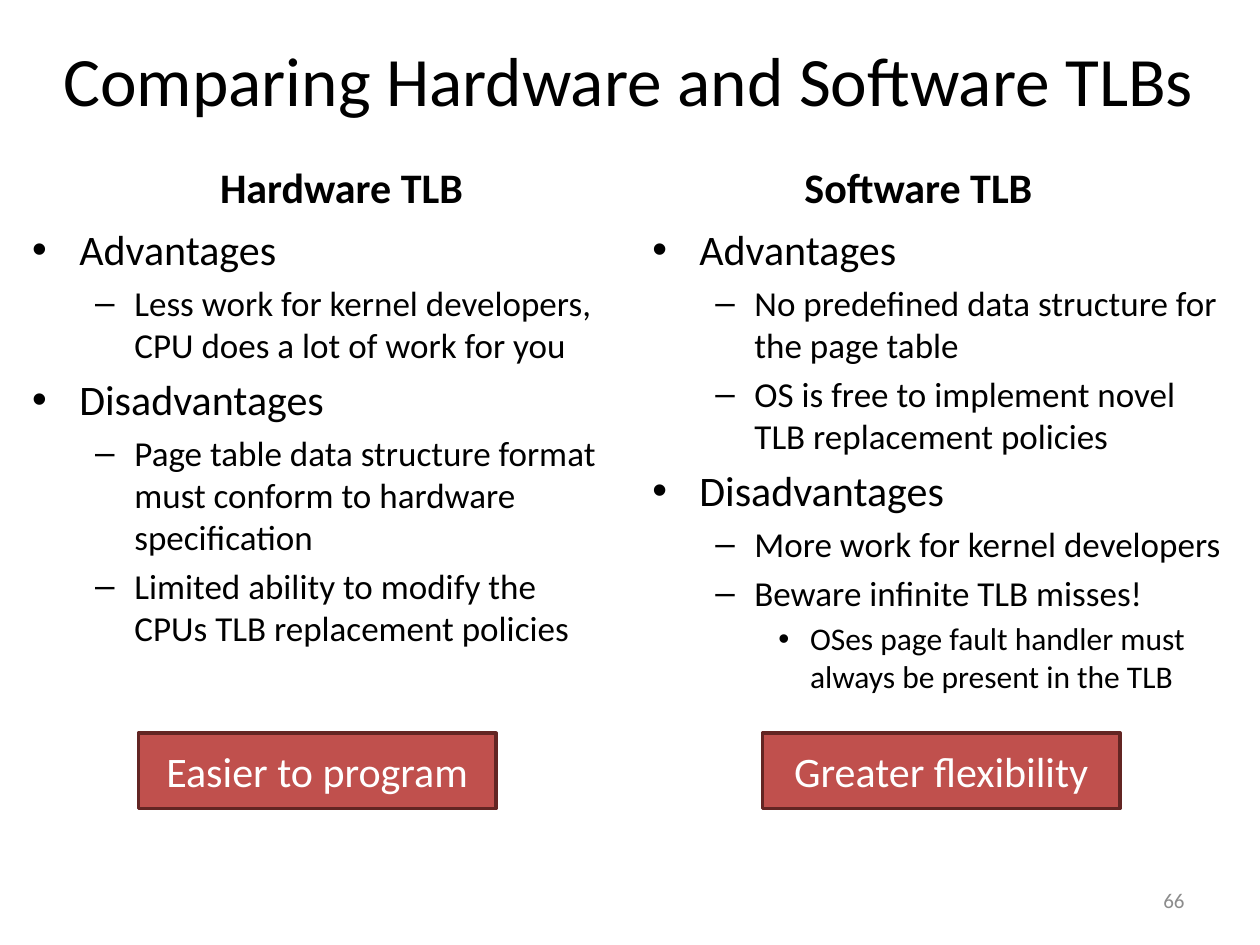
from lxml import etree
from pptx import Presentation
from pptx.dml.color import RGBColor
from pptx.enum import shapes, text
from pptx.oxml.ns import qn
from pptx.util import Cm, Pt

# Content: each column has a heading, (level, text) points and a verdict
TITLE = "Comparing Hardware and Software TLBs"
PAGE_NUMBER = "66"
COLUMNS = [
    ("Hardware TLB", [
        (0, "Advantages"),
        (1, "Less work for kernel developers, CPU does a lot of work for you"),
        (0, "Disadvantages"),
        (1, "Page table data structure format must conform to hardware specification"),
        (1, "Limited ability to modify the CPUs TLB replacement policies"),
    ], "Easier to program"),
    ("Software TLB", [
        (0, "Advantages"),
        (1, "No predefined data structure for the page table"),
        (1, "OS is free to implement novel TLB replacement policies"),
        (0, "Disadvantages"),
        (1, "More work for kernel developers"),
        (1, "Beware infinite TLB misses!"),
        (2, "OSes page fault handler must always be present in the TLB"),
    ], "Greater flexibility"),
]

# Style
FONT = "Calibri"
BLACK = RGBColor(0x00, 0x00, 0x00)
WHITE = RGBColor(0xFF, 0xFF, 0xFF)
GREY = RGBColor(0x8C, 0x8C, 0x8C)
RED = RGBColor(0xC0, 0x50, 0x4D)
DARK_RED = RGBColor(0x63, 0x25, 0x23)
# Per level: bullet, size in points, left margin and hanging indent in cm
LEVELS = [("•", 24, 0.95, 0.95), ("–", 20, 2.06, 0.79), ("•", 18, 3.18, 0.64)]

# Left edges in cm, one per column
HEADING_LEFTS = (1.27, 12.9)
LIST_LEFTS = (0.4, 12.9)
VERDICT_LEFTS = (2.79, 15.37)


def set_font(para, size, color, bold=False):
    font = para.font
    font.name, font.size, font.bold = FONT, Pt(size), bold
    font.color.rgb = color


def set_frame(shape, anchor):
    frame = shape.text_frame
    frame.word_wrap = True
    frame.auto_size = text.MSO_AUTO_SIZE.NONE
    frame.vertical_anchor = anchor
    return frame


def write_line(shape, words, size, color, align, anchor=text.MSO_ANCHOR.MIDDLE, bold=False):
    para = set_frame(shape, anchor).paragraphs[0]
    para.text = words
    para.alignment = align
    set_font(para, size, color, bold)


def add_box(page, left, top, width, height):
    return page.shapes.add_textbox(Cm(left), Cm(top), Cm(width), Cm(height))


def write_points(box, points):
    frame = set_frame(box, text.MSO_ANCHOR.TOP)
    for index, (level, words) in enumerate(points):
        para = frame.add_paragraph() if index else frame.paragraphs[0]
        bullet, size, margin, hanging = LEVELS[level]
        para.text = words
        para.level = level
        props = para._p.get_or_add_pPr()
        props.set("marL", str(Cm(margin)))
        props.set("indent", str(-Cm(hanging)))
        etree.SubElement(props, qn("a:buFont")).set("typeface", "Arial")
        etree.SubElement(props, qn("a:buChar")).set("char", bullet)
        if index:
            para.space_before = Pt(size * 0.2)
        set_font(para, size, BLACK)


def add_verdict(page, left, words):
    box = page.shapes.add_shape(shapes.MSO_SHAPE.FLOWCHART_PROCESS,
                                Cm(left), Cm(14.78), Cm(7.21), Cm(1.52))
    box.shadow.inherit = False
    box.fill.solid()
    box.fill.fore_color.rgb = RED
    box.line.color.rgb = DARK_RED
    box.line.width = Pt(2)
    write_line(box, words, 24, WHITE, text.PP_ALIGN.CENTER)


def main():
    deck = Presentation()
    deck.slide_width, deck.slide_height = Cm(25.4), Cm(19.05)
    page = deck.slides.add_slide(deck.slide_layouts[5])

    # Title
    title = page.shapes.title
    title.left, title.top, title.width, title.height = Cm(0.4), Cm(0), Cm(24.54), Cm(3.18)
    write_line(title, TITLE, 39.6, BLACK, text.PP_ALIGN.CENTER)

    # Two columns: heading, points, verdict
    lefts = zip(HEADING_LEFTS, LIST_LEFTS, VERDICT_LEFTS)
    for (heading, points, verdict), (heading_left, list_left, verdict_left) in zip(COLUMNS, lefts):
        write_line(add_box(page, heading_left, 3.18, 11.23, 1.22), heading, 24, BLACK,
                   text.PP_ALIGN.CENTER, text.MSO_ANCHOR.BOTTOM, bold=True)
        write_points(add_box(page, list_left, 4.39, 12.08, 13.21), points)
        add_verdict(page, verdict_left, verdict)

    # Page number
    write_line(add_box(page, 18.2, 17.65, 5.93, 1.01), PAGE_NUMBER, 12, GREY,
               text.PP_ALIGN.RIGHT)

    deck.save("out.pptx")


if __name__ == "__main__":
    main()
